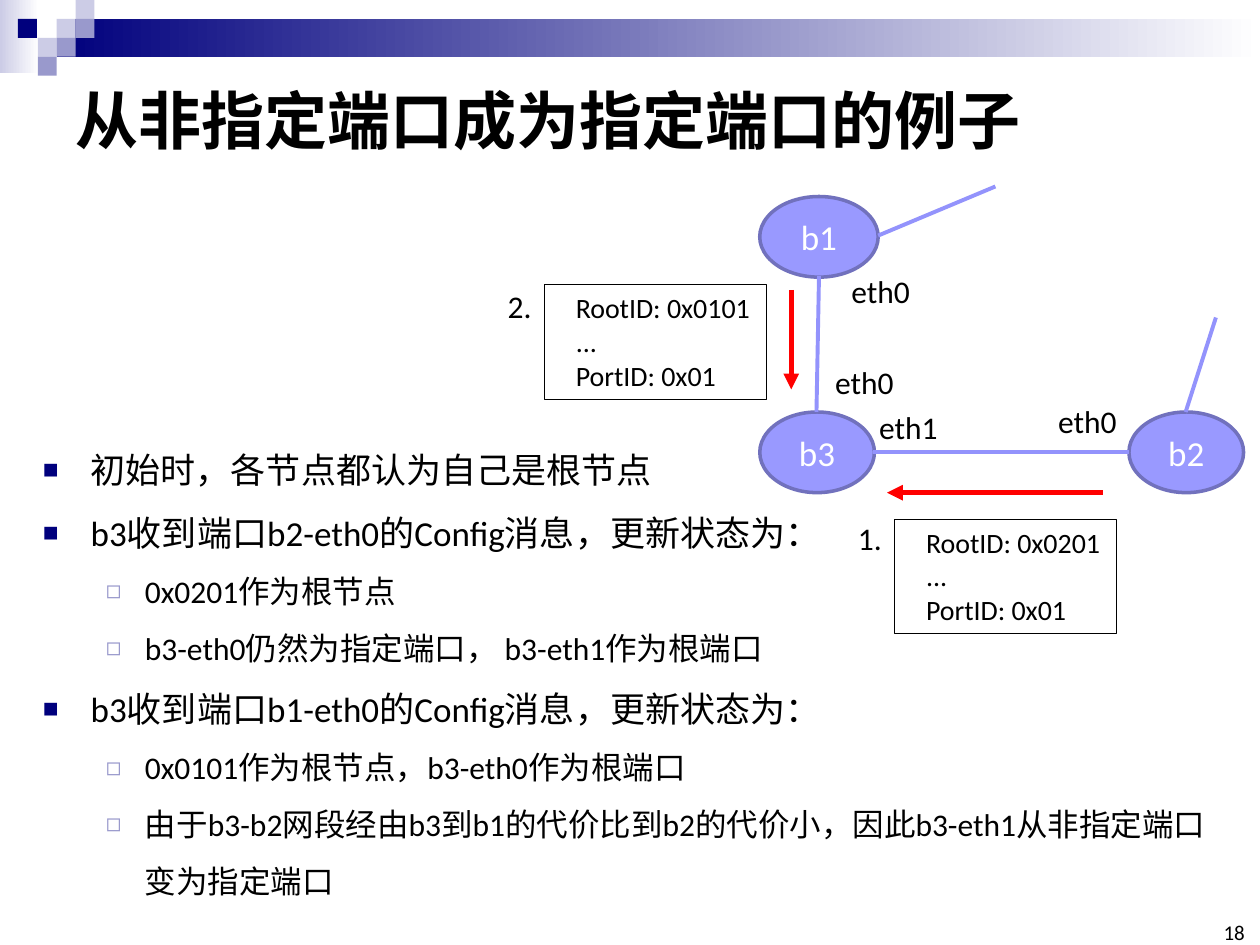
from lxml import etree
from pptx import Presentation
from pptx.dml.color import RGBColor
from pptx.enum.shapes import MSO_CONNECTOR, MSO_SHAPE
from pptx.enum.text import MSO_ANCHOR, PP_ALIGN
from pptx.oxml.ns import qn
from pptx.util import Emu, Inches, Pt

RECT, OVAL = MSO_SHAPE.RECTANGLE, MSO_SHAPE.OVAL
LINE = MSO_CONNECTOR.STRAIGHT
LEFT, CENTER, RIGHT = PP_ALIGN.LEFT, PP_ALIGN.CENTER, PP_ALIGN.RIGHT
TOP, MIDDLE, BOTTOM = MSO_ANCHOR.TOP, MSO_ANCHOR.MIDDLE, MSO_ANCHOR.BOTTOM

BLACK = RGBColor(0, 0, 0)
WHITE = RGBColor(255, 255, 255)
RED = RGBColor(255, 0, 0)
NAVY = RGBColor(0x00, 0x00, 0x7D)
PALE = RGBColor(0xCC, 0xCC, 0xE6)
LILAC = RGBColor(0x99, 0x99, 0xCC)
NODE = RGBColor(0x99, 0x99, 0xFF)
EDGE = RGBColor(0x71, 0x71, 0xBD)
LINK = RGBColor(0x93, 0x93, 0xFC)

COLS, ROWS = 100, 75


class Deck:
    face = "Calibri"
    bullets = [("■", NAVY, 75, 0.38, 0.38, 20), ("◻", LILAC, 80, 0.81, 0.31, 18)]

    def __init__(self):
        self.show = Presentation()
        self.show.slide_width, self.show.slide_height = Inches(10), Inches(7.5)
        self.slide = self.show.slides.add_slide(self.show.slide_layouts[1])
        self.shapes = self.slide.shapes

    def grid(self, *cells):
        wide, high = self.show.slide_width / COLS, self.show.slide_height / ROWS
        return [Emu(round(cell * (high if i % 2 else wide)))
                for i, cell in enumerate(cells)]

    def place(self, item, box):
        item.left, item.top, item.width, item.height = self.grid(*box)

    def style(self, para, size, color=BLACK, align=LEFT):
        para.alignment = align
        font = para.font
        font.name, font.size = self.face, Pt(size)
        font.color.rgb = color

    def text(self, item, words, size, color=BLACK, align=LEFT, anchor=TOP, wrap=False):
        frame = item.text_frame
        frame.text = words
        frame.word_wrap, frame.vertical_anchor = wrap, anchor
        for para in frame.paragraphs:
            self.style(para, size, color, align)
        return frame

    def shape(self, kind, box, fill, line=None, width=1):
        item = self.shapes.add_shape(kind, *self.grid(*box))
        item.shadow.inherit = False
        item.fill.solid()
        item.fill.fore_color.rgb = fill
        if line is None:
            item.line.fill.background()
        else:
            item.line.color.rgb, item.line.width = line, Pt(width)
        return item

    def fade(self, box, start):
        fill = self.shape(RECT, box, start).fill
        fill.gradient()
        fill.gradient_angle = 0
        for stop, color, spot in zip(fill.gradient_stops, (start, WHITE), (0, 1)):
            stop.color.rgb, stop.position = color, spot

    def label(self, box, words, size=18, **look):
        item = self.shapes.add_textbox(*self.grid(*box))
        return self.text(item, words, size, **look)

    def node(self, box, name):
        item = self.shape(OVAL, box, NODE, EDGE, 2)
        self.text(item, name, 20, WHITE, CENTER, MIDDLE)

    def link(self, ends, color=LINK, width=2.25, arrow=False):
        item = self.shapes.add_connector(LINE, *self.grid(*ends))
        item.line.color.rgb, item.line.width = color, Pt(width)
        if arrow:
            edge = item._element.spPr.find(qn("a:ln"))
            etree.SubElement(edge, qn("a:tailEnd"), type="triangle")
        etree.SubElement(item._element.spPr, qn("a:effectLst"))

    def packet(self, left, top, mark, root, tag_top):
        item = self.shape(RECT, (left, top, 17.6, 9.1), WHITE, BLACK, 0.5)
        words = f"RootID: {root}\n...\nPortID: 0x01"
        self.text(item, words, 16).margin_left = Inches(0.25)
        self.label((left - 3.9, tag_top, 3.9, 4), mark)

    def title(self, box, words):
        item = self.shapes.title
        self.place(item, box)
        frame = self.text(item, words, 36, anchor=MIDDLE, wrap=True)
        frame.paragraphs[0].font.bold = True

    def body(self, box, rows):
        item = self.slide.placeholders[1]
        self.place(item, box)
        frame = item.text_frame
        frame.text = "\n".join(words for _, words in rows)
        for para, (level, _) in zip(frame.paragraphs, rows):
            sign, color, share, left, hang, size = self.bullets[level]
            para.level = level
            props = para._p.get_or_add_pPr()
            props.set("marL", str(Inches(left)))
            props.set("indent", str(-Inches(hang)))
            tint = etree.SubElement(props, qn("a:buClr"))
            etree.SubElement(tint, qn("a:srgbClr"), val=str(color))
            etree.SubElement(props, qn("a:buSzPct"), val=str(share * 1000))
            etree.SubElement(props, qn("a:buChar"), char=sign)
            para.line_spacing, para.space_before = 1.5, Pt(0)
            self.style(para, size)


deck = Deck()

deck.fade((0, 0, 3.1, 5.8), PALE)
deck.fade((4.5, 1.5, 95.5, 3), NAVY)
side = 1.5
for col, row, color in [(3, 1, PALE), (4, 0, PALE), (4, 1, LILAC), (2, 2, PALE),
                        (0.95, 1, NAVY), (3, 2, LILAC), (2, 3, LILAC)]:
    deck.shape(RECT, (col * side, row * side, side, side), color)

deck.title((5, 5, 90, 8.9), "从非指定端口成为指定端口的例子")
deck.body((2.4, 33.4, 95.3, 33), [
    (0, "初始时，各节点都认为自己是根节点"),
    (0, "b3收到端口b2-eth0的Config消息，更新状态为："),
    (1, "0x0201作为根节点"),
    (1, "b3-eth0仍然为指定端口， b3-eth1作为根端口"),
    (0, "b3收到端口b1-eth0的Config消息，更新状态为："),
    (1, "0x0101作为根节点，b3-eth0作为根端口"),
    (1, "由于b3-b2网段经由b3到b1的代价比到b2的代价小，因此b3-eth1从非指定端口变为指定端口"),
])

page = deck.label((96.5, 73.3, 2.3, 1.7), "18", 12, align=RIGHT, anchor=BOTTOM)
page.margin_left = page.margin_right = page.margin_top = page.margin_bottom = 0

for left, top, width, name in [(60.3, 32.7, 9.1, "b3"), (89.6, 32.7, 9.1, "b2"),
                               (60.3, 15.6, 9.4, "b1")]:
    deck.node((left, top, width, 6.4), name)
for ends in [(65, 21.9, 64.8, 32.7), (69.3, 35.9, 89.6, 35.9),
             (96.5, 25.2, 94.1, 32.7), (69.7, 18.7, 79, 14.8)]:
    deck.link(ends)
for left, top, name in [(66.6, 21.1, "eth0"), (65.3, 28.3, "eth0"),
                        (68.8, 31.9, "eth1"), (83, 31.4, "eth0")]:
    deck.label((left, top, 6.7, 4), name)

for ends in [(87.5, 39.1, 70.4, 39.1), (62.8, 23, 62.8, 30.9)]:
    deck.link(ends, RED, 3, arrow=True)
deck.packet(71, 41.2, "1.", "0x0201", 40.7)
deck.packet(43.2, 22.6, "2.", "0x0101", 22.3)

deck.show.save("out.pptx")
